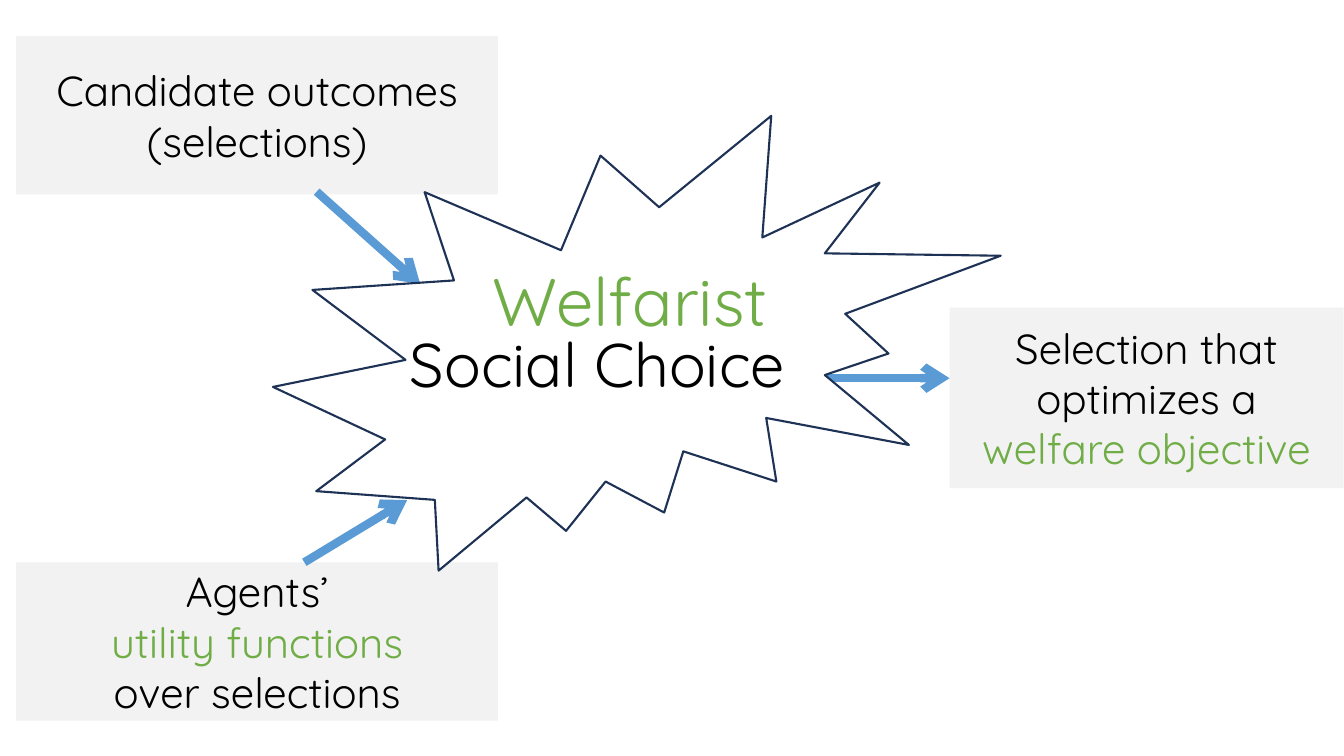
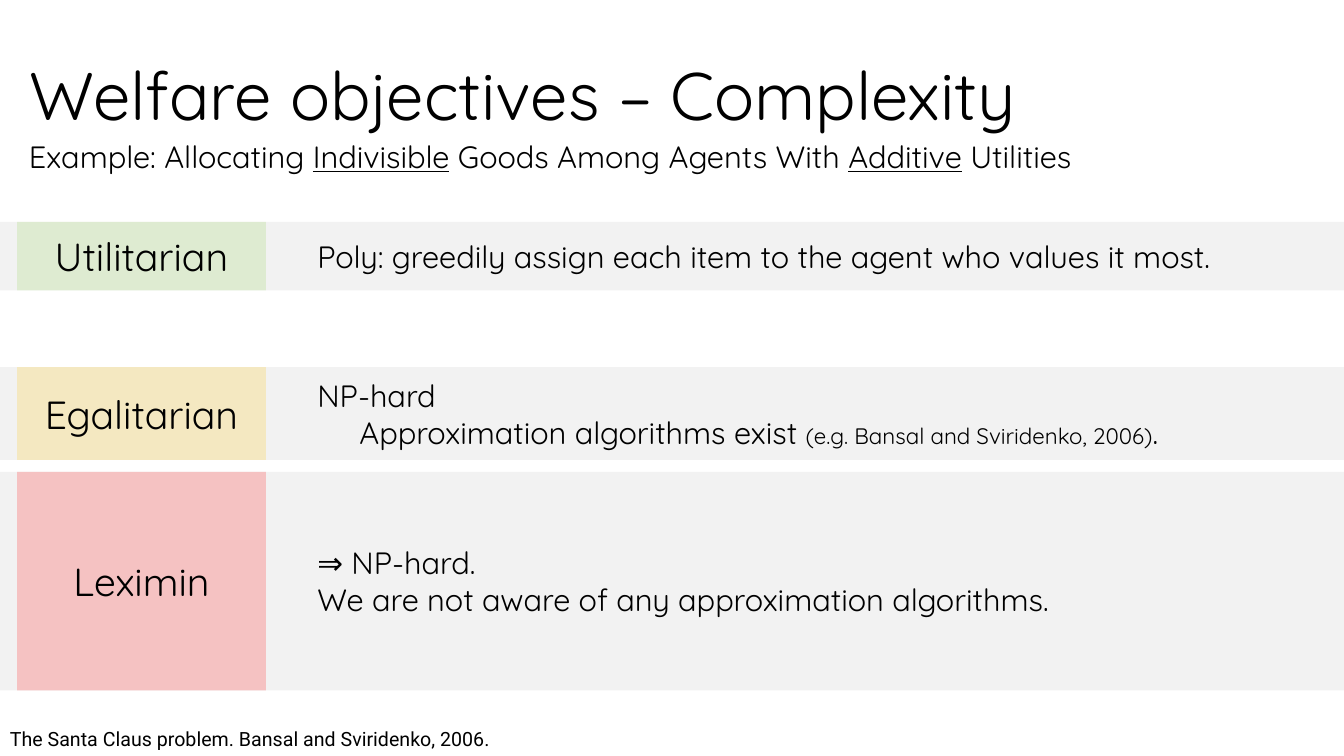
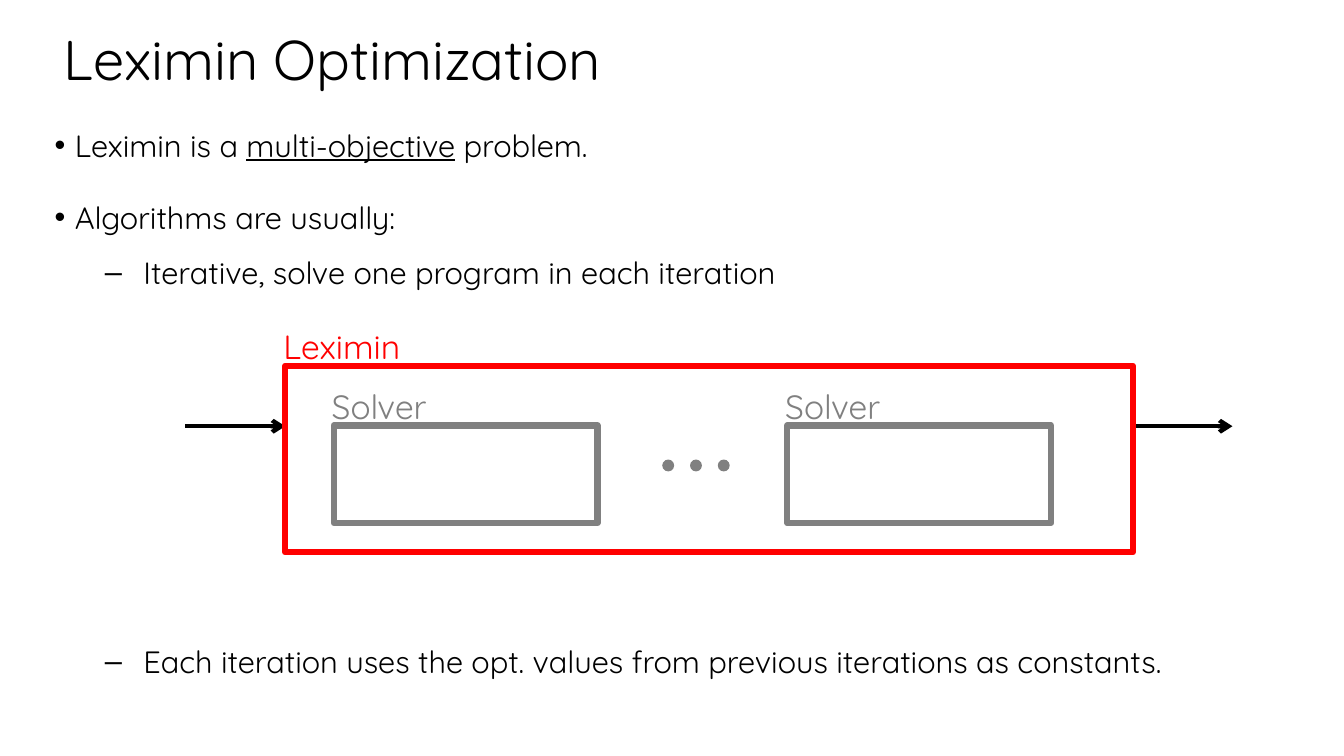
from dataclasses import dataclass
from typing import Optional

from lxml.etree import SubElement
from pptx import Presentation
from pptx.dml.color import RGBColor
from pptx.enum.shapes import MSO_CONNECTOR, MSO_SHAPE
from pptx.enum.text import MSO_ANCHOR, MSO_AUTO_SIZE, PP_ALIGN
from pptx.oxml.ns import qn
from pptx.util import Cm, Pt


@dataclass(frozen=True)
class Theme:
    font: str = "Quicksand"
    note_font: str = "Roboto"
    black: str = "000000"
    white: str = "FFFFFF"
    panel: str = "F2F2F2"
    green: str = "70AD47"
    blue: str = "5B9BD5"
    navy: str = "1E3256"
    red: str = "FF0000"
    grey: str = "808080"
    lime: str = "92D050"
    amber: str = "FFC000"
    pink: str = "F5C2C2"
    hero: int = 48
    headline: int = 44
    title: int = 40
    panel_text: int = 30
    row_label: int = 28
    caption: int = 24
    body: int = 22
    citation: int = 16
    note: int = 14


@dataclass(frozen=True)
class Span:
    text: str
    color: Optional[str] = None
    size: Optional[int] = None
    underline: bool = False


theme = Theme()


def add_block(page, kind, area, fill=None, line=None, width=0):
    block = page.shapes.add_shape(kind, *[Cm(length) for length in area])
    block.shadow.inherit = False
    if fill:
        block.fill.solid()
        block.fill.fore_color.rgb = RGBColor.from_string(fill)
    else:
        block.fill.background()
    if line:
        block.line.color.rgb = RGBColor.from_string(line)
        block.line.width = Pt(width)
    else:
        block.line.fill.background()
    return block


def write(box, lines, size, color=theme.black, align=PP_ALIGN.LEFT,
          anchor=MSO_ANCHOR.MIDDLE, spacing=1.0, font=theme.font):
    frame = box.text_frame
    frame.word_wrap = True
    frame.auto_size = MSO_AUTO_SIZE.NONE
    frame.vertical_anchor = anchor
    for index, spans in enumerate(lines):
        para = frame.add_paragraph() if index else frame.paragraphs[0]
        para.alignment = align
        para.line_spacing = spacing
        para.space_before = Pt(0)
        for span in spans:
            run = para.add_run()
            run.text = span.text
            run.font.name = font
            run.font.size = Pt(span.size or size)
            run.font.underline = span.underline
            run.font.color.rgb = RGBColor.from_string(span.color or color)


deck = Presentation()
deck.slide_width = Cm(33.87)
deck.slide_height = Cm(19.05)
overview = deck.slides.add_slide(deck.slide_layouts[6])
complexity = deck.slides.add_slide(deck.slide_layouts[5])
optimization = deck.slides.add_slide(deck.slide_layouts[1])

titles = [
    (complexity, "Welfare objectives – Complexity", (0.48, 0.36, 30.63, 2.97),
     theme.hero, MSO_ANCHOR.TOP, Pt(80)),
    (optimization, "Leximin Optimization", (1.35, 0.3, 31.19, 2.31),
     theme.title, MSO_ANCHOR.MIDDLE, 1.0),
]
for page, text, area, size, anchor, spacing in titles:
    title = page.shapes.title
    title.left, title.top, title.width, title.height = [Cm(length) for length in area]
    write(title, [[Span(text)]], size, anchor=anchor, spacing=spacing)
complexity.shapes.title.text_frame.margin_top = Cm(0.2)

panels = [
    ((0.41, 0.91, 12.14, 3.99), [[Span("Candidate outcomes (selections)")]]),
    ((0.41, 14.17, 12.14, 3.99), [
        [Span("Agents’")],
        [Span("utility functions", theme.green)],
        [Span("over selections")],
    ]),
    ((23.93, 7.75, 9.93, 4.55), [
        [Span("Selection that")],
        [Span("optimizes a")],
        [Span("welfare objective", theme.green)],
    ]),
]
for area, lines in panels:
    panel = add_block(overview, MSO_SHAPE.RECTANGLE, area, theme.panel)
    write(panel, lines, theme.panel_text, align=PP_ALIGN.CENTER)

arrows = [
    (overview, theme.blue, 6, (7.98, 4.83, 10.59, 7.16)),
    (overview, theme.blue, 6, (7.67, 14.17, 10.26, 12.6)),
    (overview, theme.blue, 6, (20.75, 9.53, 23.93, 9.53)),
    (optimization, theme.black, 3, (4.67, 10.74, 7.19, 10.74)),
    (optimization, theme.black, 3, (28.58, 10.74, 31.06, 10.74)),
]
for page, color, width, ends in arrows:
    arrow = page.shapes.add_connector(
        MSO_CONNECTOR.STRAIGHT, *[Cm(length) for length in ends])
    arrow.line.color.rgb = RGBColor.from_string(color)
    arrow.line.width = Pt(width)
    SubElement(arrow.line._get_or_add_ln(), qn("a:tailEnd"), type="arrow")
    SubElement(arrow._element.spPr, qn("a:effectLst"))

add_block(overview, MSO_SHAPE.EXPLOSION2, (6.88, 2.92, 18.34, 11.46),
          theme.white, theme.navy, 1.5)
social_choice = overview.shapes.add_textbox(Cm(10.08), Cm(8.1), Cm(11), Cm(2.13))
write(social_choice, [[Span("Social Choice")]], theme.headline, anchor=MSO_ANCHOR.TOP)
welfarist = overview.shapes.add_textbox(Cm(9.93), Cm(6.78), Cm(11.89), Cm(1.93))
write(welfarist, [[Span("Welfarist")]], theme.hero, theme.green, PP_ALIGN.CENTER,
      MSO_ANCHOR.TOP, Pt(47))

subtitle = complexity.shapes.add_textbox(Cm(0.48), Cm(3.28), Cm(32.92), Cm(1.42))
write(subtitle, [[
    Span("Example: Allocating "),
    Span("Indivisible", underline=True),
    Span(" Goods Among Agents With "),
    Span("Additive", underline=True),
    Span(" Utilities"),
]], theme.body, spacing=0.9)

objectives = [
    ("Utilitarian", 5.59, 1.73, theme.lime, 20, [
        [Span("Poly: greedily assign each item to the agent who values it most.")],
    ]),
    ("Egalitarian", 9.25, 2.34, theme.amber, 20, [
        [Span("NP-hard")],
        [Span("Approximation algorithms exist "),
         Span("(e.g. Bansal and Sviridenko, 2006)", size=theme.citation),
         Span(".")],
    ]),
    ("Leximin", 11.89, 5.51, theme.pink, 100, [
        [Span("⇒ NP-hard.")],
        [Span("We are not aware of any approximation algorithms.")],
    ]),
]
for name, top, height, color, opacity, lines in objectives:
    add_block(complexity, MSO_SHAPE.RECTANGLE, (0, top, 33.87, height), theme.panel)
    label = add_block(complexity, MSO_SHAPE.RECTANGLE, (0.43, top, 6.27, height), color)
    if opacity < 100:
        tint = next(label._element.spPr.iter(qn("a:srgbClr")))
        SubElement(tint, qn("a:alpha"), val=str(opacity * 1000))
    write(label, [[Span(name)]], theme.row_label, align=PP_ALIGN.CENTER)
    finding = complexity.shapes.add_textbox(Cm(7.75), Cm(top), Cm(25.86), Cm(height))
    write(finding, lines, theme.body)
    if name == "Egalitarian":
        detail = finding.text_frame.paragraphs[1]
        detail._p.get_or_add_pPr().set("marL", str(Cm(1.06)))

reference = complexity.shapes.add_textbox(Cm(0), Cm(18.19), Cm(33.87), Cm(0.86))
write(reference, [[Span("The Santa Claus problem. Bansal and Sviridenko, 2006.")]],
      theme.note, anchor=MSO_ANCHOR.TOP, font=theme.note_font)

points = [
    (0, 0, [Span("Leximin is a "), Span("multi-objective", underline=True),
            Span(" problem.")]),
    (0, 12, [Span("Algorithms are usually:")]),
    (1, 0, [Span("Iterative, solve one program in each iteration")]),
    (1, 238, [Span("Each iteration uses the opt. values from previous iterations "
                   "as constants.")]),
]
bullets = [("•", 0.51, -0.51), ("–", 2.24, -0.97)]
body = optimization.placeholders[1]
body.left, body.top, body.width, body.height = Cm(1.12), Cm(2.59), Cm(31.19), Cm(14.33)
write(body, [spans for level, gap, spans in points], theme.body,
      anchor=MSO_ANCHOR.TOP, spacing=1.5)
for para, (level, gap, spans) in zip(body.text_frame.paragraphs, points):
    symbol, margin, indent = bullets[level]
    para.level = level
    para.space_before = Pt(gap)
    properties = para._p.get_or_add_pPr()
    properties.set("marL", str(Cm(margin)))
    properties.set("indent", str(Cm(indent)))
    SubElement(properties, qn("a:buChar"), char=symbol)

frames = [
    ("Leximin", theme.red, (7.19, 9.22, 21.36, 4.7)),
    ("Solver", theme.grey, (8.41, 10.72, 6.65, 2.46)),
    ("Solver", theme.grey, (19.84, 10.72, 6.65, 2.46)),
]
for name, color, area in frames:
    add_block(optimization, MSO_SHAPE.RECTANGLE, area, line=color, width=4.5)
    caption = optimization.shapes.add_textbox(
        Cm(area[0] - 0.3), Cm(area[1] - 1.63), Cm(5.5), Cm(1.6))
    write(caption, [[Span(name)]], theme.caption, color,
          anchor=MSO_ANCHOR.TOP, spacing=1.5)

for index in range(3):
    add_block(optimization, MSO_SHAPE.OVAL, (16.69 + 0.7 * index, 11.58, 0.3, 0.3),
              theme.grey)

deck.save("out.pptx")
